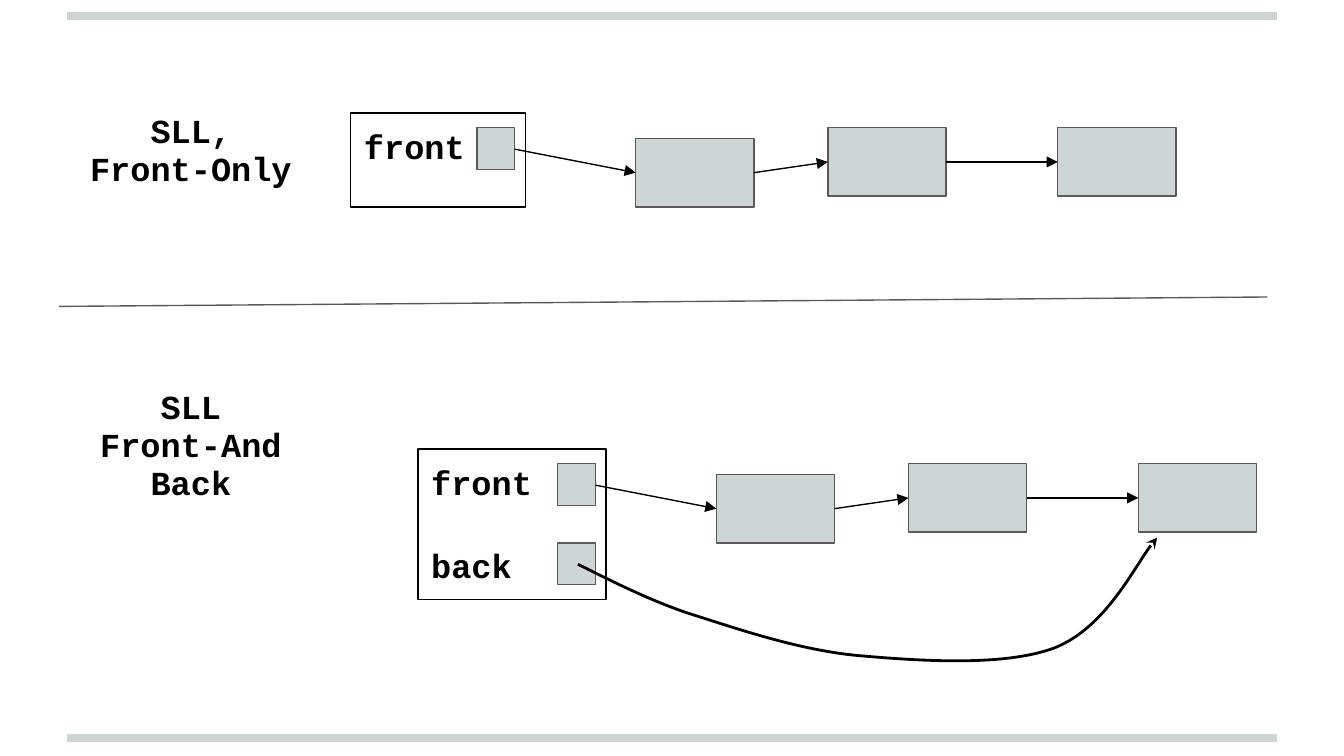
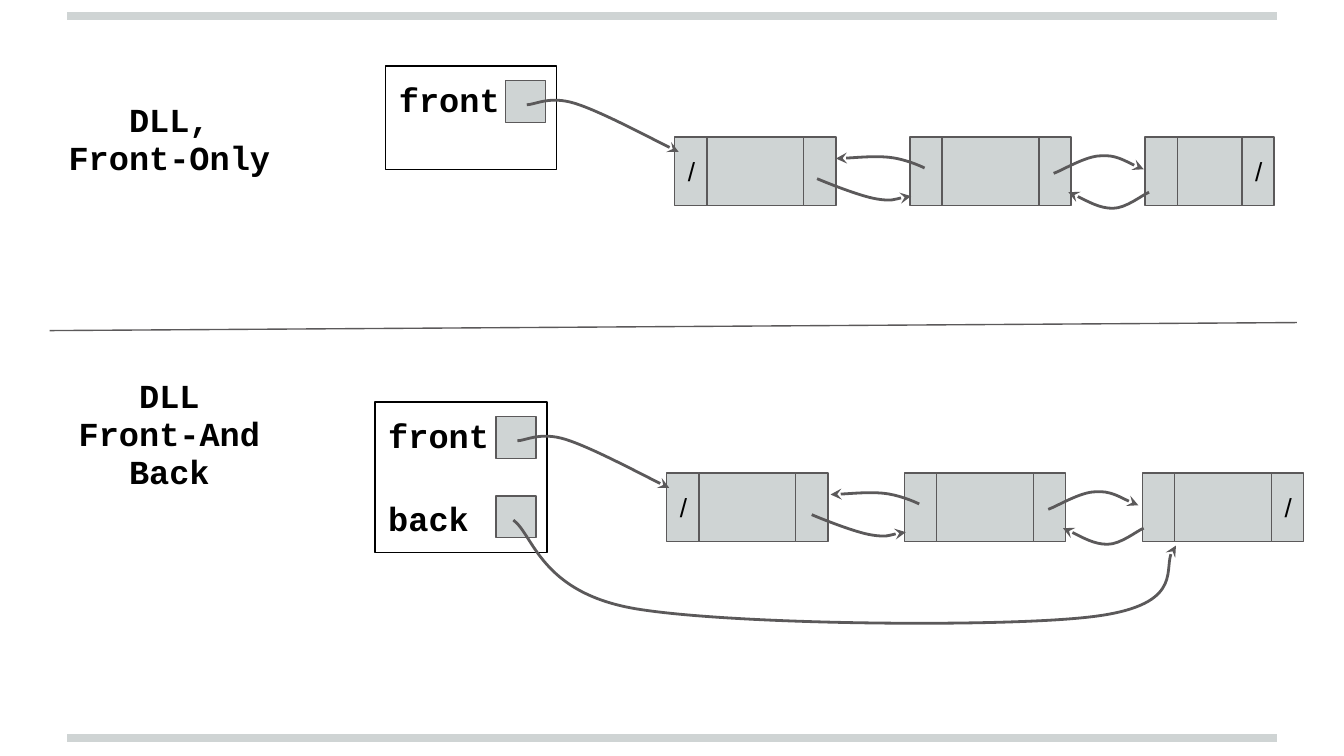
import dataclasses

import lxml.etree
import pptx
import pptx.dml.color
import pptx.enum.shapes
import pptx.enum.text
import pptx.oxml.ns
import pptx.util

Inches = pptx.util.Inches
qn = pptx.oxml.ns.qn
ANCHOR = pptx.enum.text.MSO_ANCHOR
ALIGN = pptx.enum.text.PP_ALIGN


@dataclasses.dataclass(frozen=True)
class Theme:
    ink: str = "000000"
    edge: str = "5B595A"
    grey: str = "CFD4D4"
    code_font: str = "Courier New"
    mark_font: str = "Arial"
    code_size: int = 18
    mark_size: int = 14
    thin: float = 0.75
    thick: float = 1.5
    band: float = 4


THEME = Theme()

# Curves: a start point, then three points for each Bezier segment,
# measured from the slot or node that the curve is tied to
FRONT_CURVE = [(0.16, 0.18), (0.22, 0.18), (0.33, 0.11), (0.52, 0.17),
               (0.71, 0.23), (1.16, 0.47), (1.29, 0.53)]
SLL_BACK_CURVE = [(0.15, 0.16), (0.28, 0.22), (0.61, 0.4), (0.96, 0.52),
                  (1.31, 0.63), (1.79, 0.8), (2.25, 0.84),
                  (2.71, 0.88), (3.33, 0.92), (3.7, 0.78),
                  (4.07, 0.63), (4.33, 0.1), (4.46, -0.04)]
DLL_BACK_CURVE = [(0.13, 0.18), (0.28, 0.29), (0.33, 0.72), (1.04, 0.84),
                  (1.76, 0.96), (3.76, 0.98), (4.43, 0.9),
                  (5.1, 0.82), (4.95, 0.46), (5.06, 0.37)]
NODE_LINKS = [
    [(-0.69, 0.31), (-0.62, 0.34), (-0.37, 0.44), (-0.25, 0.46),
     (-0.13, 0.48), (-0.03, 0.44), (0.01, 0.44)],
    [(0.11, 0.23), (0.07, 0.21), (-0.05, 0.16), (-0.16, 0.15),
     (-0.27, 0.14), (-0.48, 0.16), (-0.55, 0.16)],
    [(1.07, 0.27), (1.13, 0.25), (1.31, 0.14), (1.42, 0.14),
     (1.53, 0.13), (1.68, 0.22), (1.74, 0.24)],
    [(1.78, 0.41), (1.73, 0.43), (1.61, 0.53), (1.51, 0.53),
     (1.41, 0.53), (1.23, 0.43), (1.18, 0.41)],
]


# Basic parts
def rgb(value):
    return pptx.dml.color.RGBColor.from_string(value)


def write(para, text, font=THEME.code_font, size=THEME.code_size, bold=True,
          align=ALIGN.LEFT, before=0):
    para.alignment = align
    para.space_before = pptx.util.Pt(before)
    span = para.add_run()
    span.text = text
    span.font.name = font
    span.font.size = pptx.util.Pt(size)
    span.font.bold = bold
    span.font.color.rgb = rgb(THEME.ink)


def style_line(shape, color, width, arrow=None):
    shape.line.color.rgb = rgb(color)
    shape.line.width = pptx.util.Pt(width)
    if arrow:
        outline = shape.element.spPr.find(qn("a:ln"))
        lxml.etree.SubElement(outline, qn("a:tailEnd"), type=arrow)


def add_line(page, start, end, color=THEME.ink, width=THEME.thin, arrow=None):
    line = page.shapes.add_connector(
        pptx.enum.shapes.MSO_CONNECTOR.STRAIGHT,
        *(Inches(value) for value in (*start, *end)))
    style_line(line, color, width, arrow)
    lxml.etree.SubElement(line.element.spPr, qn("a:effectLst"))
    return line


def add_box(page, left, top, width, height, fill=THEME.grey, edge=THEME.edge):
    box = page.shapes.add_shape(
        pptx.enum.shapes.MSO_SHAPE.RECTANGLE,
        *(Inches(value) for value in (left, top, width, height)))
    box.shadow.inherit = False
    if fill:
        box.fill.solid()
        box.fill.fore_color.rgb = rgb(fill)
    else:
        box.fill.background()
    style_line(box, edge, THEME.thin)
    frame = box.text_frame
    frame.word_wrap = True
    frame.margin_left = frame.margin_right = Inches(0.1)
    frame.margin_top = frame.margin_bottom = Inches(0.1)
    return box


def add_curve(page, left, top, points, color):
    spots = [(Inches(left + x), Inches(top + y)) for x, y in points]
    builder = page.shapes.build_freeform(*spots[0])
    builder.add_line_segments(spots[1:], close=False)
    curve = builder.convert_to_shape()
    # Every three straight segments become one Bezier segment
    outline = next(curve.element.iter(qn("a:path")))
    segments = outline.findall(qn("a:lnTo"))
    for index in range(0, len(segments), 3):
        bezier = lxml.etree.SubElement(outline, qn("a:cubicBezTo"))
        for segment in segments[index:index + 3]:
            bezier.append(segment[0])
            outline.remove(segment)
    curve.fill.background()
    curve.shadow.inherit = False
    style_line(curve, color, THEME.thick, "stealth")


# Regions
def add_bands(page):
    """Put the top and bottom bands on the layout that the pages share."""
    for y in (5.49, 0.12):
        band = add_line(page, (0.5, y), (9.5, y), THEME.grey, THEME.band)
        page.slide_layout.shapes.element.append(band.element)


def add_captions(page, left, top, captions):
    table = page.shapes.add_table(
        2, 2, Inches(left), Inches(top), Inches(2.2), Inches(4.37)).table
    table.first_row = table.horz_banding = False
    for row, height, lines in zip(table.rows, (2.05, 2.32), captions):
        row.height = Inches(height)
        cell = row.cells[0]
        cell.merge(row.cells[1])
        cell.fill.background()
        cell.margin_left = cell.margin_right = Inches(0.1)
        cell.margin_top, cell.margin_bottom = Inches(0.38), Inches(0.1)
        frame = cell.text_frame
        for index, text in enumerate(lines):
            para = frame.add_paragraph() if index else frame.paragraphs[0]
            write(para, text, align=ALIGN.CENTER)


def add_holder(page, left, top, width, height, slot_width, names):
    """Draw the list object and return the corner of each pointer slot."""
    holder = add_box(page, left, top, width, height, None, THEME.ink)
    frame = holder.text_frame
    frame.vertical_anchor = ANCHOR.TOP
    slots = []
    for index, name in enumerate(names):
        para = frame.add_paragraph() if index else frame.paragraphs[0]
        write(para, name, before=22.5 if index else 0)
        slot = (left + width - 0.08 - slot_width, top + 0.11 + 0.59 * index)
        add_box(page, *slot, slot_width, 0.31)
        slots.append(slot)
    return slots


def add_single_chain(page, slot, slot_width):
    """Draw three nodes linked one way, starting at the front slot."""
    left, top = slot
    width, height = 0.88, 0.51
    start = (left + slot_width, top + 0.16)
    for x, y in ((1.18, 0.08), (2.61, 0), (4.32, 0)):
        middle = top + y + height / 2
        add_box(page, left + x, top + y, width, height)
        add_line(page, start, (left + x, middle), arrow="triangle")
        start = (left + x + width, middle)


def add_double_chain(page, left, top, pitch, last_data):
    """Draw three nodes with previous and next cells, linked both ways."""
    link, height = 0.24, 0.51
    for index, data in enumerate((0.72, 0.72, last_data)):
        x = left + pitch * index
        previous = add_box(page, x, top, link, height)
        add_box(page, x + link, top, data, height)
        following = add_box(page, x + link + data, top, link, height)
        end = {0: previous, 2: following}.get(index)
        if end is not None:
            end.text_frame.vertical_anchor = ANCHOR.MIDDLE
            write(end.text_frame.paragraphs[0], "/", font=THEME.mark_font,
                  size=THEME.mark_size, bold=False)
    for points in NODE_LINKS:
        add_curve(page, left + pitch, top, points, THEME.edge)


# Pages
def single_list_page(page):
    slot_width = 0.28
    front, back = add_holder(page, 3.11, 3.34, 1.4, 1.12, slot_width,
                             ("front", "back"))
    add_single_chain(page, front, slot_width)
    add_curve(page, *back, SLL_BACK_CURVE, THEME.ink)
    front, = add_holder(page, 2.61, 0.84, 1.3, 0.7, slot_width, ("front",))
    add_single_chain(page, front, slot_width)
    add_captions(page, 0.32, 0.48,
                 (("SLL,", "Front-Only"), ("SLL", "Front-And Back")))
    add_line(page, (0.44, 2.28), (9.43, 2.21), THEME.edge)


def double_list_page(page):
    slot_width = 0.3
    add_double_chain(page, 5.02, 1.02, 1.75, 0.48)
    front, = add_holder(page, 2.87, 0.49, 1.27, 0.77, slot_width, ("front",))
    add_curve(page, *front, FRONT_CURVE, THEME.edge)
    add_double_chain(page, 4.96, 3.52, 1.77, 0.72)
    front, back = add_holder(page, 2.79, 2.99, 1.28, 1.12, slot_width,
                             ("front", "back"))
    add_curve(page, *front, FRONT_CURVE, THEME.edge)
    add_curve(page, *back, DLL_BACK_CURVE, THEME.edge)
    add_captions(page, 0.16, 0.4,
                 (("DLL,", "Front-Only"), ("DLL", "Front-And Back")))
    add_line(page, (0.37, 2.46), (9.65, 2.4), THEME.edge)


def main():
    deck = pptx.Presentation()
    deck.slide_width = Inches(10)
    deck.slide_height = deck.slide_width * 9 // 16
    blank = deck.slide_layouts[6]
    pages = [deck.slides.add_slide(blank) for _ in range(2)]
    add_bands(pages[0])
    single_list_page(pages[0])
    double_list_page(pages[1])
    deck.save("out.pptx")


if __name__ == "__main__":
    main()
